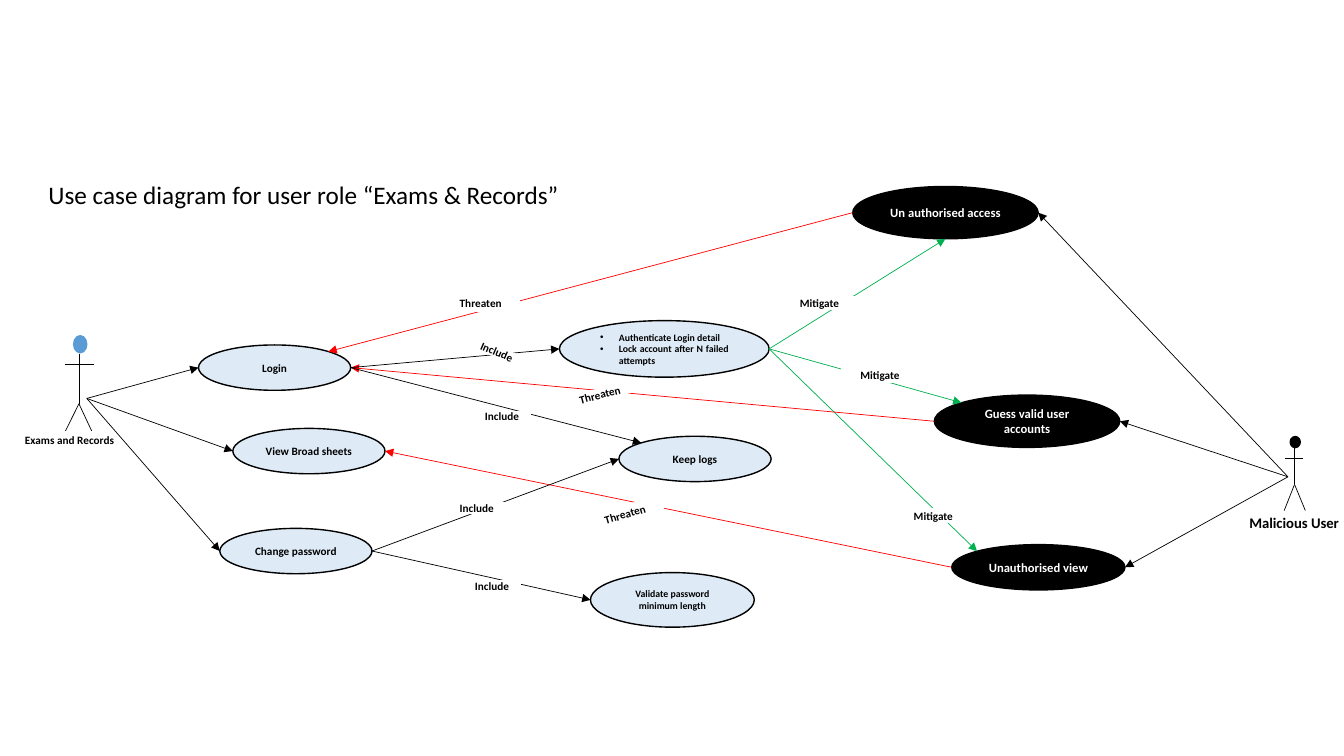
"""Use case diagram for the role "Exams & Records"."""
from math import cos, radians, sin

from lxml import etree
from pptx import Presentation
from pptx.dml.color import RGBColor
from pptx.enum.shapes import MSO_CONNECTOR as Line, MSO_SHAPE as Preset
from pptx.enum.text import MSO_ANCHOR as Anchor, MSO_AUTO_SIZE as AutoSize, PP_ALIGN as Align
from pptx.oxml.ns import qn
from pptx.util import Pt

BLACK = RGBColor(0x00, 0x00, 0x00)
WHITE = RGBColor(0xFF, 0xFF, 0xFF)
PALE_BLUE = RGBColor(0xDE, 0xEB, 0xF7)
BLUE = RGBColor(0x5B, 0x9B, 0xD5)
RED = RGBColor(0xFF, 0x00, 0x00)
GREEN = RGBColor(0x00, 0xB0, 0x50)

# Directions in degrees, clockwise from the right-hand side of an ellipse
RIGHT, BOTTOM, LEFT, TOP_LEFT, TOP_RIGHT = 0, 90, 180, 225, 315


def site(oval, angle):
    """Return the point in points on an oval's edge at a given angle."""
    half_width, half_height = oval.width.pt / 2, oval.height.pt / 2
    return (oval.left.pt + half_width * (1 + cos(radians(angle))),
            oval.top.pt + half_height * (1 + sin(radians(angle))))


class Diagram:
    """Holds the style and the current slide."""

    font = "Calibri"

    def __init__(self, slide):
        """Keep the slide to draw on."""
        self.slide = slide
        self.shapes = slide.shapes

    def set_text(self, shape, text, size, color=BLACK, bold=True, align=Align.CENTER,
                 anchor=Anchor.MIDDLE, **frame_format):
        """Fill a shape with one paragraph for each line of text."""
        frame = shape.text_frame
        settings = {"word_wrap": True, "auto_size": AutoSize.NONE,
                    "vertical_anchor": anchor, **frame_format}
        for name, value in settings.items():
            setattr(frame, name, value)
        frame.text = text
        for para in frame.paragraphs:
            para.alignment = align
            for span in para.runs:
                span.font.color.rgb = color
                for name, value in {"name": self.font, "size": Pt(size), "bold": bold}.items():
                    setattr(span.font, name, value)

    def title(self, box, text):
        """Move and format the title placeholder."""
        title = self.shapes.title
        for name, value in zip(("left", "top", "width", "height"), box):
            setattr(title, name, Pt(value))
        self.set_text(title, text, 18, bold=False, align=Align.LEFT, anchor=Anchor.TOP)

    def shape(self, preset, box, fill, line):
        """Add a filled preset shape."""
        shape = self.shapes.add_shape(preset, *map(Pt, box))
        shape.shadow.inherit = False
        shape.fill.solid()
        shape.fill.fore_color.rgb = fill
        shape.line.color.rgb = line
        shape.line.width = Pt(1)
        return shape

    def use_case(self, box, text, size=8, fill=PALE_BLUE, color=BLACK):
        """Add an oval that names a use case."""
        oval = self.shape(Preset.OVAL, box, fill, BLACK)
        self.set_text(oval, text, size, color)
        return oval

    def misuse_case(self, box, text):
        """Add a black oval that names a threat."""
        return self.use_case(box, text, 9, BLACK, WHITE)

    def bullets(self, oval, indent):
        """Turn an oval's paragraphs into a justified bullet list."""
        for para in oval.text_frame.paragraphs:
            para.alignment = Align.JUSTIFY
            props = para._p.get_or_add_pPr()
            props.set("marL", str(Pt(indent)))
            props.set("indent", str(-Pt(indent)))
            etree.SubElement(props, qn("a:buFont")).set("typeface", "Arial")
            etree.SubElement(props, qn("a:buChar")).set("char", "•")

    def label(self, center, width, height, text, rotation=0):
        """Add a white plate with a relation's name over an arrow."""
        x, y = center
        plate = self.shape(Preset.RECTANGLE, (x - width / 2, y - height / 2, width, height),
                           WHITE, WHITE)
        plate.rotation = rotation
        self.set_text(plate, text, 8, margin_left=0, margin_right=0,
                      margin_top=0, margin_bottom=0)

    def line(self, start, end, color=BLACK, arrow=False):
        """Add a thin straight line, with an arrowhead at its end on request."""
        line = self.shapes.add_connector(Line.STRAIGHT, *map(Pt, (*start, *end)))
        line.line.color.rgb = color
        line.line.width = Pt(0.5)
        props = line._element.spPr
        if arrow:
            etree.SubElement(props.find(qn("a:ln")), qn("a:tailEnd")).set("type", "triangle")
        etree.SubElement(props, qn("a:effectLst"))

    def actor(self, head, color, neck, arms, hip, feet):
        """Add a stick figure: arms and feet are (left, right, y)."""
        self.shape(Preset.OVAL, head, color, color)
        self.line(neck, hip)
        self.line((arms[0], arms[2]), (arms[1], arms[2]))
        for foot in feet[:2]:
            self.line(hip, (foot, feet[2]))

    def caption(self, box, text, size):
        """Add an actor's name."""
        caption = self.shapes.add_textbox(*map(Pt, box))
        self.set_text(caption, text, size, anchor=Anchor.TOP)


deck = Presentation()
deck.slide_width, deck.slide_height = Pt(960), Pt(540)
diagram = Diagram(deck.slides.add_slide(deck.slide_layouts[5]))
diagram.title((27.4, 124.6, 386.6, 28.8), "Use case diagram for user role “Exams & Records”")

diagram.actor((52.6, 239.8, 9.4, 12.2), BLUE, (56.4, 252.7), (46.1, 67.4, 260.6),
              (56.4, 288.4), (46.8, 65.5, 307.8))
diagram.caption((5.8, 306, 87.8, 19.4), "Exams and Records", 8)
diagram.actor((921.6, 311.8, 7.2, 7.9), BLACK, (924.7, 319.7), (918, 931, 327.6),
              (924.7, 346), (917.3, 932.4, 364.7))
diagram.caption((875.5, 363.6, 97.9, 20.2), "Malicious User", 10.5)

CASE = (108.7, 32.4)
login = diagram.use_case((141.8, 246.4, *CASE), "Login")
sheets = diagram.use_case((166.3, 306, *CASE), "View Broad sheets")
password = diagram.use_case((157, 377.4, *CASE), "Change password")
logs = diagram.use_case((442.1, 311.6, *CASE), "Keep logs")
validate = diagram.use_case((421.8, 409, 117, 39), "Validate password minimum length", 7)
authenticate = diagram.use_case((399.6, 229, 149.8, 40.4),
                                "Authenticate Login detail\nLock account after N failed attempts", 7)
diagram.bullets(authenticate, 13.5)

access = diagram.misuse_case((609.1, 133.2, 132.5, 37.4), "Un authorised access")
guess = diagram.misuse_case((667.4, 282.2, 132.5, 37.4), "Guess valid user accounts")
view = diagram.misuse_case((679.8, 389, 123.8, 32.4), "Unauthorised view")

STAFF, ATTACKER = (62, 284.6), (920, 340.6)
for case in (login, sheets, password):
    diagram.line(STAFF, site(case, LEFT), arrow=True)
for threat in (access, guess, view):
    diagram.line(ATTACKER, site(threat, RIGHT), arrow=True)

RELATIONS = [
    (authenticate, RIGHT, access, BOTTOM, GREEN),
    (authenticate, RIGHT, guess, TOP_LEFT, GREEN),
    (authenticate, RIGHT, view, TOP_LEFT, GREEN),
    (access, LEFT, login, TOP_RIGHT, RED),
    (guess, LEFT, login, RIGHT, RED),
    (view, LEFT, sheets, RIGHT, RED),
    (login, RIGHT, authenticate, LEFT, BLACK),
    (login, RIGHT, logs, TOP_LEFT, BLACK),
    (password, RIGHT, logs, LEFT, BLACK),
    (password, RIGHT, validate, LEFT, BLACK),
]
for source, exit_angle, target, entry_angle, color in RELATIONS:
    diagram.line(site(source, exit_angle), site(target, entry_angle), color, arrow=True)

LABELS = [
    ("Threaten", 54.7, 11.5, [(343.4, 216.7, 0), (446.4, 367.2, 343.9)]),
    ("Threaten", 56.2, 7.9, [(428.4, 281.9, 345.4)]),
    ("Mitigate", 54.7, 9.4, [(585.4, 216.4, 0), (628.6, 268.2, 0), (666.7, 368.3, 0)]),
    ("Include", 40.3, 7.2, [(358.6, 297.4, 0), (340.6, 362.9, 0),
                            (351.4, 418.3, 0), (355, 251.3, 23.4)]),
]
for text, width, height, places in LABELS:
    for x, y, rotation in places:
        diagram.label((x, y), width, height, text, rotation)

deck.save("out.pptx")
